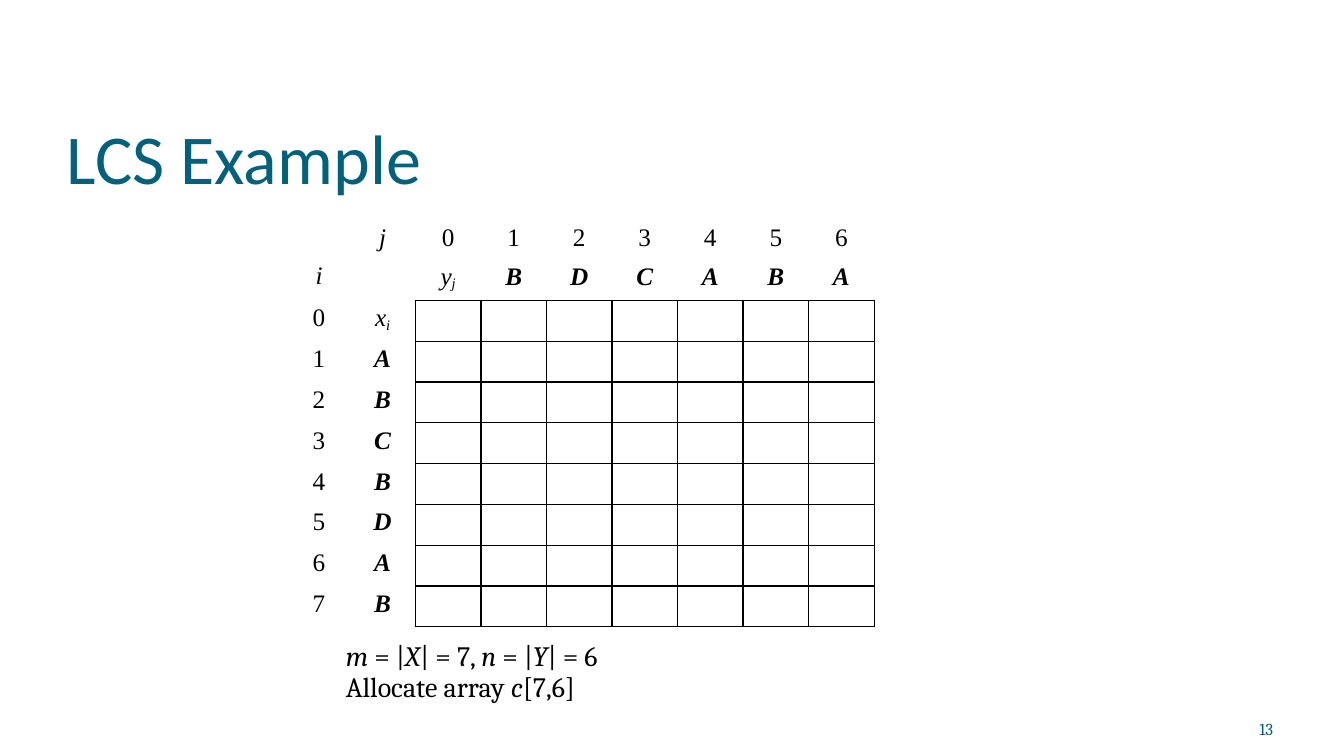
import pptx
import pptx.util
import pptx.dml.color
import pptx.enum.text
import pptx.oxml
import pptx.oxml.ns

Inches, Pt = pptx.util.Inches, pptx.util.Pt
RGBColor = pptx.dml.color.RGBColor
CENTER = pptx.enum.text.PP_ALIGN.CENTER

TITLE_BLUE = RGBColor(0x04, 0x61, 0x7B)
NUMBER_BLUE = RGBColor(0x04, 0x5C, 0x75)
BLACK = RGBColor(0, 0, 0)

X_SEQUENCE = "ABCBDAB"
Y_SEQUENCE = "BDCABA"
HEADER_HEIGHT, TABLE_HEIGHT = 0.75, 3.99
COLUMN_WIDTH = 0.65
LABEL_TOP = 0.04


def add_runs(paragraph, pieces, size, font, color):
    """Each piece is (text, style): i italic, b bold, s subscript."""
    for text, style in pieces:
        run = paragraph.add_run()
        run.text = text
        run.font.size, run.font.name = Pt(size), font
        run.font.color.rgb = color
        run.font.italic, run.font.bold = "i" in style, "b" in style
        if "s" in style:
            run.font._element.set("baseline", "-14000")


def add_text(left, top, width, height, inset_top, pieces, size, font, color):
    frame = slide.shapes.add_textbox(
        Inches(left), Inches(top), Inches(width), Inches(height)).text_frame
    frame.word_wrap = True
    frame.margin_left = frame.margin_right = frame.margin_bottom = 0
    frame.margin_top = Inches(inset_top)
    add_runs(frame.paragraphs[0], pieces, size, font, color)
    return frame


presentation = pptx.Presentation()
presentation.slide_width, presentation.slide_height = Inches(13.33), Inches(7.5)
slide = presentation.slides.add_slide(presentation.slide_layouts[6])

# Title and slide number
add_text(0.66, 1.13, 11.78, 0.86, 0.01, [("LCS Example", "")], 50, "Calibri", TITLE_BLUE)
number = add_text(12.49, 7.16, 0.25, 0.17, 0, [("13", "")], 12, "Cambria", NUMBER_BLUE)
number.paragraphs[0].line_spacing = Pt(12.4)

# Empty table c with its index and sequence labels
row_count, column_count = len(X_SEQUENCE) + 2, len(Y_SEQUENCE) + 3
table = slide.shapes.add_table(
    row_count, column_count, Inches(3.05), Inches(2.23),
    Inches(5.62), Inches(TABLE_HEIGHT)).table
table.first_row = table.horz_banding = False
for c, column in enumerate(table.columns):
    column.width = Inches(0.42 if c == 0 else COLUMN_WIDTH)
for r, row in enumerate(table.rows):
    row.height = Inches(HEADER_HEIGHT if r == 0 else
                        (TABLE_HEIGHT - HEADER_HEIGHT) / (row_count - 1))

for r in range(row_count):
    for c in range(column_count):
        cell = table.cell(r, c)
        cell.margin_left = cell.margin_right = cell.margin_top = cell.margin_bottom = 0

        # Borders: the grid itself, plus the label edges that touch it
        in_grid = r > 0 and c > 1
        for side in ("L", "R", "T", "B"):
            ruled = in_grid or (side == "B" and r == 0 and c > 1) \
                or (side == "R" and c == 1 and r > 0)
            paint = '<a:solidFill><a:srgbClr val="000000"/></a:solidFill>' if ruled else "<a:noFill/>"
            cell._tc.get_or_add_tcPr().append(pptx.oxml.parse_xml(
                f'<a:ln{side} {pptx.oxml.ns.nsdecls("a")} w="12700">{paint}</a:ln{side}>'))
        cell.fill.background()
        if in_grid:
            continue

        # Labels
        if r == 0 and c == 0:
            lines = [[("i", "i")]]
            cell.margin_left, cell.margin_top = Inches(0.08), Inches(0.37)
        elif r == 0 and c == 1:
            lines = [[("j", "i")]]
        elif r == 0:
            symbol = [("y", "i"), ("j", "is")] if c == 2 else [(Y_SEQUENCE[c - 3], "bi")]
            lines = [[(str(c - 2), "")], symbol]
        elif c == 0:
            lines = [[(str(r - 1), "")]]
            cell.margin_left, cell.margin_top = Inches(0.05), Inches(LABEL_TOP)
        else:
            lines = [[("x", "i"), ("i", "is")] if r == 1 else [(X_SEQUENCE[r - 2], "bi")]]
            cell.margin_top = Inches(LABEL_TOP)
        for n, pieces in enumerate(lines):
            frame = cell.text_frame
            paragraph = frame.add_paragraph() if n else frame.paragraphs[0]
            if c > 0:
                paragraph.alignment = CENTER
            if n:
                paragraph.space_before = Pt(7.4)
            elif r == 0 and c > 0:
                paragraph.line_spacing = Pt(19.6)
            add_runs(paragraph, pieces, 18, "Times New Roman", BLACK)

# Array dimensions
dimensions = add_text(3.43, 6.32, 2.73, 0.66, 0.05, [
    ("m ", "i"), ("= |", ""), ("X", "i"), ("| = 7, ", ""), ("n ", "i"), ("= |", ""),
    ("Y", "i"), ("| = 6 Allocate array ", ""), ("c", "i"), ("[7,6]", "")],
    20, "Cambria", BLACK)
dimensions.paragraphs[0].line_spacing = Pt(21.8)

presentation.save("out.pptx")
